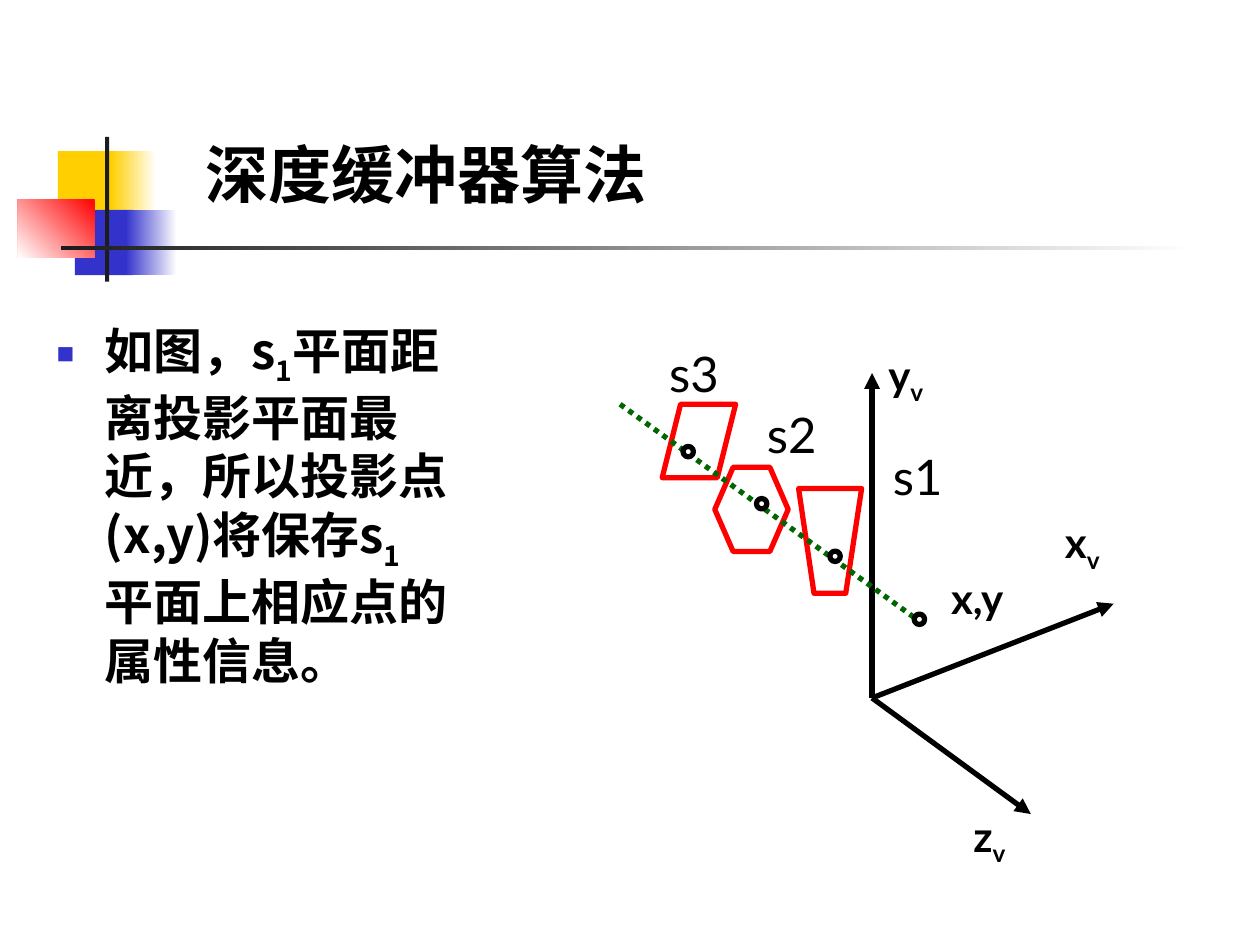
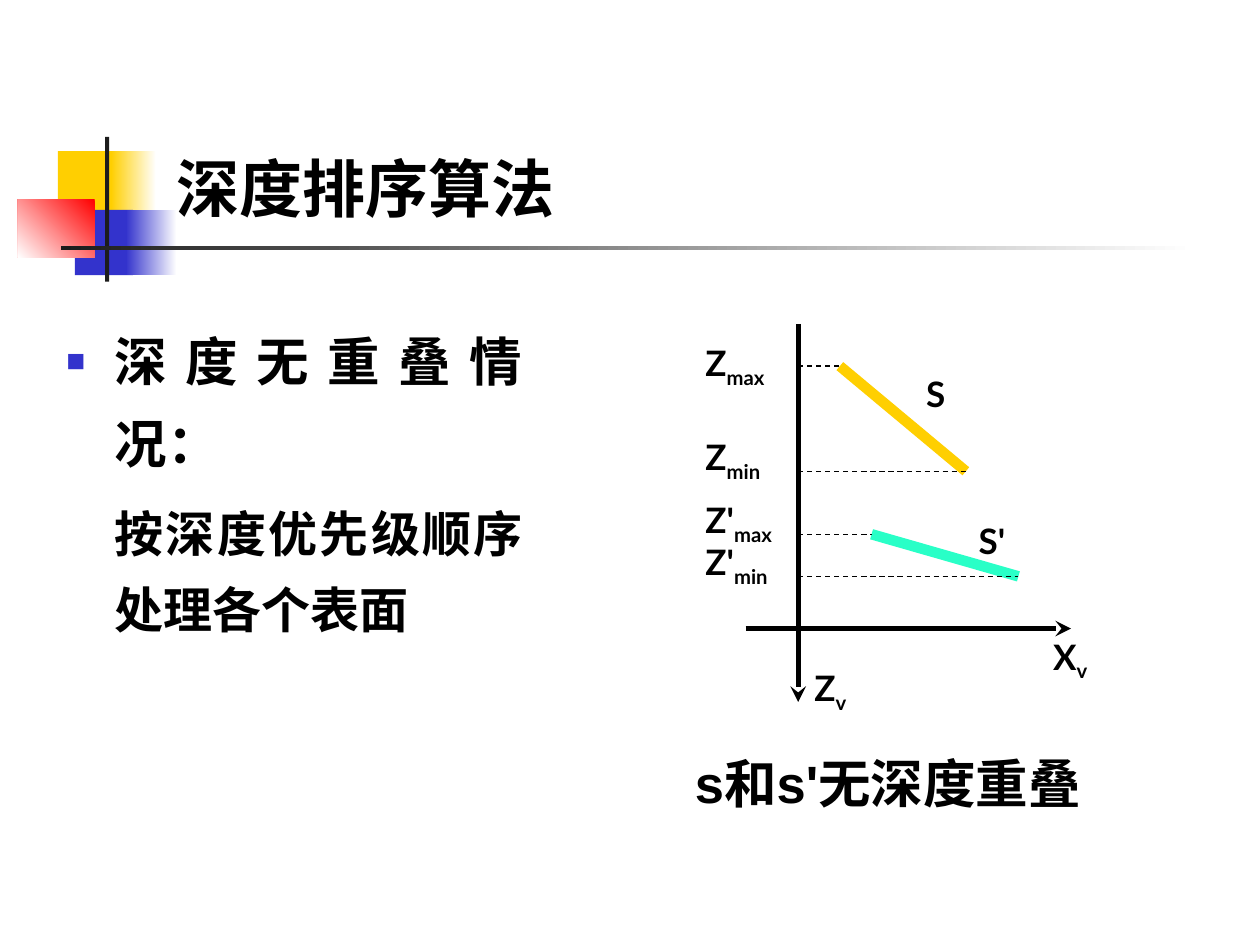
"""Two slides on visible-surface algorithms: depth buffer and depth sorting."""
from lxml.etree import SubElement
from pptx import Presentation
from pptx.dml.color import RGBColor
from pptx.enum.dml import MSO_LINE
from pptx.enum.shapes import MSO_CONNECTOR, MSO_SHAPE
from pptx.enum.text import MSO_ANCHOR, PP_ALIGN
from pptx.oxml.ns import qn
from pptx.util import Cm, Pt

BLACK, WHITE, RED, BLUE, YELLOW = "000000", "FFFFFF", "FF0000", "3333CC", "FFCF01"
CHARCOAL, GREEN, MINT = "1C1C1C", "006600", "29FFC7"
LATIN, CHINESE = "Lato", "Noto Sans CJK SC"
INDENT = 0.97

# (left, top, width, height), first colour, last colour, gradient angle
DECORATION = [
    ((1.17, 3.05, 1.22, 1.32), YELLOW, None, 0),
    ((2.24, 3.05, 0.91, 1.32), WHITE, YELLOW, 180),
    ((1.51, 4.23, 1.17, 1.32), BLUE, None, 0),
    ((2.54, 4.23, 1.02, 1.32), WHITE, BLUE, 180),
    ((0.36, 4.02, 1.55, 1.17), RED, WHITE, 225),
    ((2.12, 2.76, 0.08, 2.92), CHARCOAL, None, 0),
    ((1.23, 4.95, 22.86, 0.09), WHITE, CHARCOAL, 180),
]

BUFFER_TITLE = ("深度缓冲器算法", (3.89, 2.53, 16.59, 1.85))
BUFFER_BODY = "如图，s_1_平面距离投影平面最近，所以投影点(x,y)将保存s_1_平面上相应点的属性信息。"
ORIGIN = (17.58, 14.07)
AXIS_TIPS = [(17.58, 7.52), (22.45, 12.17), (20.78, 16.41)]
SURFACES = [
    (MSO_SHAPE.PARALLELOGRAM, (13.35, 8.15, 1.48, 1.48)),
    (MSO_SHAPE.HEXAGON, (14.41, 9.42, 1.48, 1.7)),
]
NEAREST_SURFACE = [(16.1, 9.85), (17.37, 9.85), (17.05, 11.96), (16.41, 11.96)]
RAY = ((12.5, 8.15), (18.64, 12.6))
HITS = [(13.77, 9), (15.25, 10.05), (16.73, 11.11), (18.43, 12.38)]
HIT_SIZE = 0.21
SURFACE_NAMES = [("s3", 13.47, 6.93), ("s2", 15.44, 8.15), ("s1", 17.98, 8.99)]
AXIS_NAMES = [
    ("x,y", (19.09, 11.53, 1.22, 1.02)),
    ("x_v", (21.44, 10.41, 0.76, 1.17)),
    ("y_v", (17.88, 7.03, 0.76, 1.17)),
    ("z_v", (19.59, 16.33, 0.71, 1.17)),
]

SORT_TITLE = ("深度排序算法", (3.3, 2.7, 20.4, 1.96))
SORT_BODY = [("深度无重叠情况：", 30), ("按深度优先级顺序处理各个表面", 28)]
SORT_CAPTION = "s和s'无深度重叠"
DEPTH_AXIS = 16.09
SORT_AXES = [((15.03, 12.67), (21.59, 12.67)), ((DEPTH_AXIS, 6.53), (DEPTH_AXIS, 14.15))]
SORTED_SURFACES = [
    ((17.57, 10.77), (20.53, 11.62), MINT),
    ((16.93, 7.38), (19.47, 9.5), YELLOW),
]
# text, (left, top, width, height), wraps
DEPTH_NAMES = [
    ("S'", (19.48, 10.34, 1.47, 1.12), True),
    ("S", (18.42, 7.39, 1.47, 1.12), True),
    ("Z'_min", (13.97, 10.77, 2.34, 1.22), True),
    ("Z'_max", (13.97, 9.93, 2.34, 1.22), True),
    ("Z_min", (13.97, 8.66, 2.34, 1.22), True),
    ("Z_max", (13.97, 6.76, 2.34, 1.22), True),
    ("X_v", (20.98, 12.68, 1.22, 1.22), False),
    ("Z_v", (16.17, 13.31, 1.17, 1.22), False),
]


def colour(code):
    return RGBColor.from_string(code)


def lengths(values):
    return [Cm(value) for value in values]


def write(paragraph, text, size, font=LATIN, bold=True):
    for position, part in enumerate(text.split("_")):
        span = paragraph.add_run()
        span.text = part
        if position % 2:
            span._r.get_or_add_rPr().set("baseline", "-25000")
    paragraph.font.size = Pt(size)
    paragraph.font.bold = bold
    paragraph.font.name = font
    paragraph.font.color.rgb = colour(BLACK)
    properties = paragraph._p.pPr.find(qn("a:defRPr"))
    SubElement(properties, qn("a:ea")).set("typeface", CHINESE)


def add_frame(page, area, anchor=MSO_ANCHOR.TOP, wrap=True):
    frame = page.shapes.add_textbox(*lengths(area)).text_frame
    frame.word_wrap = wrap
    frame.vertical_anchor = anchor
    return frame


def add_centred_label(page, text, area, size, bold=True):
    frame = add_frame(page, area, MSO_ANCHOR.MIDDLE, False)
    frame.margin_left = frame.margin_right = frame.margin_top = frame.margin_bottom = 0
    paragraph = frame.paragraphs[0]
    paragraph.alignment = PP_ALIGN.CENTER
    write(paragraph, text, size, bold=bold)


def indent(paragraph, bullet):
    properties = paragraph._p.get_or_add_pPr()
    properties.set("marL", str(Cm(INDENT)))
    properties.set("indent", str(-Cm(INDENT) if bullet else 0))
    properties.set("hangingPunct", "0")
    if bullet:
        tint = SubElement(properties, qn("a:buClr"))
        SubElement(tint, qn("a:srgbClr")).set("val", BLUE)
        SubElement(properties, qn("a:buSzPct")).set("val", "60000")
        SubElement(properties, qn("a:buFont")).set("typeface", "Arial")
        SubElement(properties, qn("a:buChar")).set("char", "■")


def add_line(page, start, end, tint=BLACK, width=3, dash=None, arrow=None):
    line = page.shapes.add_connector(MSO_CONNECTOR.STRAIGHT, *lengths(start + end))
    line.line.color.rgb = colour(tint)
    line.line.width = Pt(width)
    if dash:
        line.line.dash_style = dash
    if arrow:
        SubElement(line.line._get_or_add_ln(), qn("a:tailEnd")).set("type", arrow)
    SubElement(line._element.spPr, qn("a:effectLst"))


def style_outline(shape, tint):
    shape.shadow.inherit = False
    shape.fill.solid()
    shape.fill.fore_color.rgb = colour(WHITE)
    shape.line.color.rgb = colour(tint)
    shape.line.width = Pt(3)


def add_page(deck, title, area):
    page = deck.slides.add_slide(deck.slide_layouts[6])
    for place, first, last, angle in DECORATION:
        box = page.shapes.add_shape(MSO_SHAPE.RECTANGLE, *lengths(place))
        box.shadow.inherit = False
        box.line.fill.background()
        if last:
            box.fill.gradient()
            box.fill.gradient_angle = angle
            for stop, tint in zip(box.fill.gradient_stops, (first, last)):
                stop.color.rgb = colour(tint)
        else:
            box.fill.solid()
            box.fill.fore_color.rgb = colour(first)
    write(add_frame(page, area, MSO_ANCHOR.BOTTOM).paragraphs[0], title, 36)
    return page


def add_buffer_page(deck):
    page = add_page(deck, *BUFFER_TITLE)
    paragraph = add_frame(page, (0.89, 6.33, 8.41, 10.01)).paragraphs[0]
    indent(paragraph, True)
    write(paragraph, BUFFER_BODY, 28, CHINESE)

    for tip in AXIS_TIPS:
        add_line(page, ORIGIN, tip, arrow="triangle")
    for kind, area in SURFACES:
        surface = page.shapes.add_shape(kind, *lengths(area))
        surface.adjustments[0] = 0.25
        style_outline(surface, RED)
    corners = [lengths(corner) for corner in NEAREST_SURFACE]
    builder = page.shapes.build_freeform(*corners[0])
    builder.add_line_segments(corners[1:], close=True)
    style_outline(builder.convert_to_shape(), RED)
    add_line(page, *RAY, tint=GREEN, dash=MSO_LINE.ROUND_DOT)
    for left, top in HITS:
        area = lengths((left, top, HIT_SIZE, HIT_SIZE))
        style_outline(page.shapes.add_shape(MSO_SHAPE.OVAL, *area), BLACK)

    for name, left, top in SURFACE_NAMES:
        add_centred_label(page, name, (left, top, 1.04, 1.19), 28, bold=False)
    for name, area in AXIS_NAMES:
        add_centred_label(page, name, area, 24)


def add_sort_page(deck):
    page = add_page(deck, *SORT_TITLE)
    frame = add_frame(page, (1.09, 6.12, 9.7, 7.16))
    for position, (text, size) in enumerate(SORT_BODY):
        paragraph = frame.add_paragraph() if position else frame.paragraphs[0]
        paragraph.alignment = PP_ALIGN.JUSTIFY
        paragraph.line_spacing = 1.3
        if position:
            paragraph.space_before = Pt(7)
        indent(paragraph, position == 0)
        write(paragraph, text, size)
    caption = add_frame(page, (13.76, 15.01, 9.09, 1.52))
    write(caption.paragraphs[0], SORT_CAPTION, 30, "Arial")

    for start, end in SORT_AXES:
        add_line(page, start, end, arrow="stealth")
    for start, end, tint in SORTED_SURFACES:
        add_line(page, start, end, tint, 6)
    for start, end, _ in SORTED_SURFACES:
        for point in (start, end):
            add_line(page, (DEPTH_AXIS, point[1]), point, width=0.75, dash=MSO_LINE.DASH)
    for name, area, wrap in DEPTH_NAMES:
        write(add_frame(page, area, wrap=wrap).paragraphs[0], name, 20)


def main():
    deck = Presentation()
    deck.slide_width, deck.slide_height = Cm(25.4), Cm(19.05)
    add_buffer_page(deck)
    add_sort_page(deck)
    deck.save("out.pptx")


if __name__ == "__main__":
    main()
